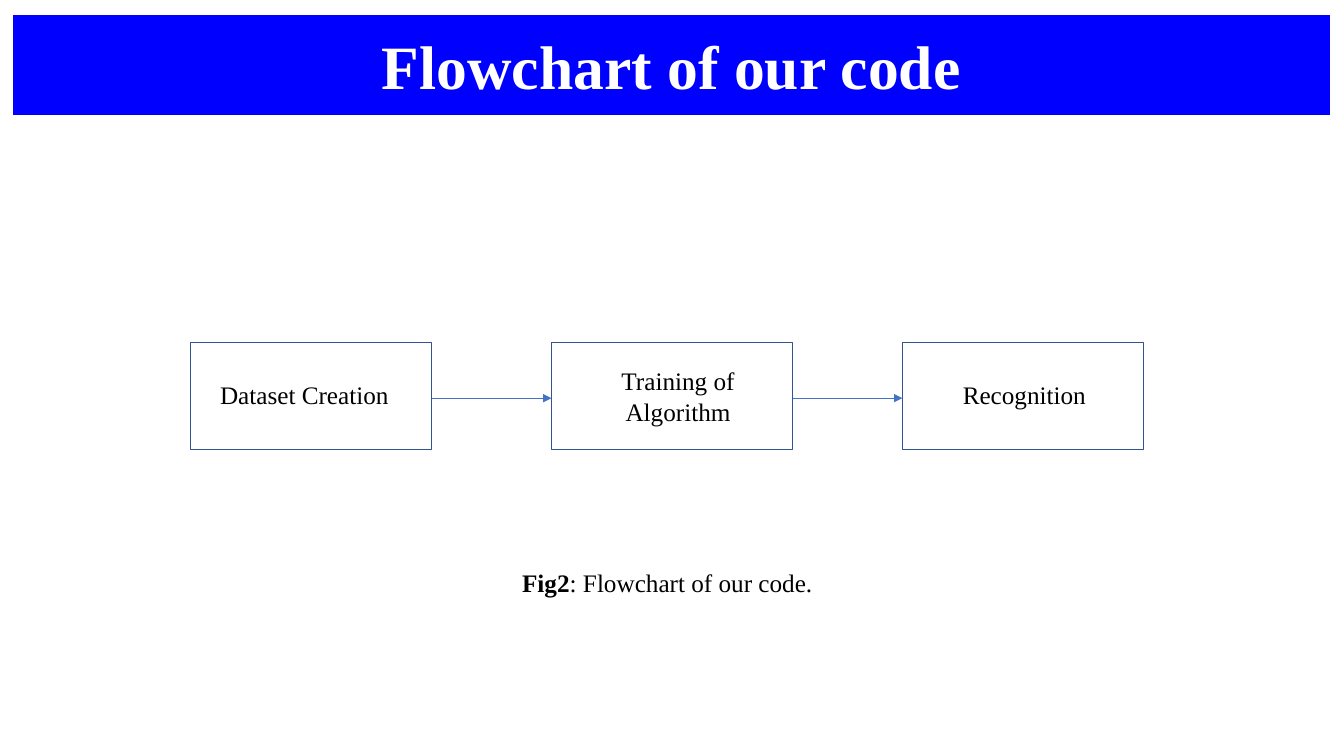
from dataclasses import dataclass

from lxml import etree
from pptx import Presentation
from pptx import util as u
from pptx.dml.color import RGBColor
from pptx.enum import shapes, text
from pptx.oxml import ns


@dataclass(frozen=True)
class Theme:
    font: str = "Times New Roman"
    title_size: int = 44
    body_size: int = 18
    white: str = "FFFFFF"
    ink: str = "000000"
    banner: str = "0000FF"
    border: str = "325491"
    arrow: str = "4472C4"


class Deck:
    """Places styled elements; all lengths are percentages of the slide."""

    def __init__(self, theme):
        self.theme = theme
        self.prs = Presentation()
        self.prs.slide_width = u.Inches(13.33)
        self.prs.slide_height = u.Inches(7.5)
        self.slide = self.prs.slides.add_slide(self.prs.slide_layouts[5])

    def x(self, share):
        return round(self.prs.slide_width * share / 100)

    def y(self, share):
        return round(self.prs.slide_height * share / 100)

    def area(self, left, top, width, height):
        return self.x(left), self.y(top), self.x(width), self.y(height)

    def add_words(self, paragraph, words, size, color, bold=False):
        run = paragraph.add_run()
        run.text = words
        run.font.name = self.theme.font
        run.font.size = u.Pt(size)
        run.font.bold = bold
        run.font.color.rgb = RGBColor.from_string(color)

    def fill(self, shape, color):
        shape.fill.solid()
        shape.fill.fore_color.rgb = RGBColor.from_string(color)

    def title(self, words, *area):
        banner = self.slide.shapes.title
        banner.left, banner.top, banner.width, banner.height = self.area(*area)
        self.fill(banner, self.theme.banner)
        frame = banner.text_frame
        frame.auto_size = text.MSO_AUTO_SIZE.NONE
        frame.vertical_anchor = text.MSO_ANCHOR.MIDDLE
        heading = frame.paragraphs[0]
        heading.alignment = text.PP_ALIGN.CENTER
        self.add_words(heading, words, self.theme.title_size, self.theme.white, True)

    def box(self, *area):
        step = self.slide.shapes.add_shape(
            shapes.MSO_SHAPE.RECTANGLE, *self.area(*area))
        step.shadow.inherit = False
        self.fill(step, self.theme.white)
        step.line.color.rgb = RGBColor.from_string(self.theme.border)
        step.line.width = u.Pt(1)

    def arrow(self, start, end, level):
        link = self.slide.shapes.add_connector(
            shapes.MSO_CONNECTOR.STRAIGHT,
            self.x(start), self.y(level), self.x(end), self.y(level))
        link.line.color.rgb = RGBColor.from_string(self.theme.arrow)
        link.line.width = u.Pt(0.5)
        properties = link._element.spPr
        etree.SubElement(properties.find(ns.qn("a:ln")), ns.qn("a:tailEnd"),
                         type="triangle")
        etree.SubElement(properties, ns.qn("a:effectLst"))

    def label(self, runs, *area, align=text.PP_ALIGN.CENTER):
        frame = self.slide.shapes.add_textbox(*self.area(*area)).text_frame
        frame.word_wrap = True
        frame.auto_size = text.MSO_AUTO_SIZE.SHAPE_TO_FIT_TEXT
        paragraph = frame.paragraphs[0]
        paragraph.alignment = align
        for words, bold in runs:
            self.add_words(paragraph, words, self.theme.body_size,
                           self.theme.ink, bold)
        return paragraph


def main():
    deck = Deck(Theme())

    # Title banner
    deck.title("Flowchart of our code", 0.98, 2, 97.97, 13.2)

    # Step boxes
    step_lefts = [14.18, 41.04, 67.14]
    step_width = 17.93
    for left in step_lefts:
        deck.box(left, 45.33, step_width, 14.13)

    # Arrows from each step to the next
    for left, following in zip(step_lefts, step_lefts[1:]):
        deck.arrow(left + step_width, following, 52.67)

    # Step names
    step_names = [
        ("Dataset Creation", 14.7, 49.47, 15.9, 5.33),
        ("Training of Algorithm", 42.61, 47.73, 15.68, 9.47),
        ("Recognition", 67.74, 49.47, 16.95, 5.33),
    ]
    for name, *area in step_names:
        deck.label([(name, False)], *area)

    # Figure caption
    caption = deck.label([("Fig2", True), (": Flowchart of our code.", False)],
                         38.11, 73.73, 23.86, 5.73, align=text.PP_ALIGN.LEFT)
    caption.line_spacing = 1.15
    caption.space_after = u.Pt(10)

    deck.prs.save("out.pptx")


if __name__ == "__main__":
    main()
